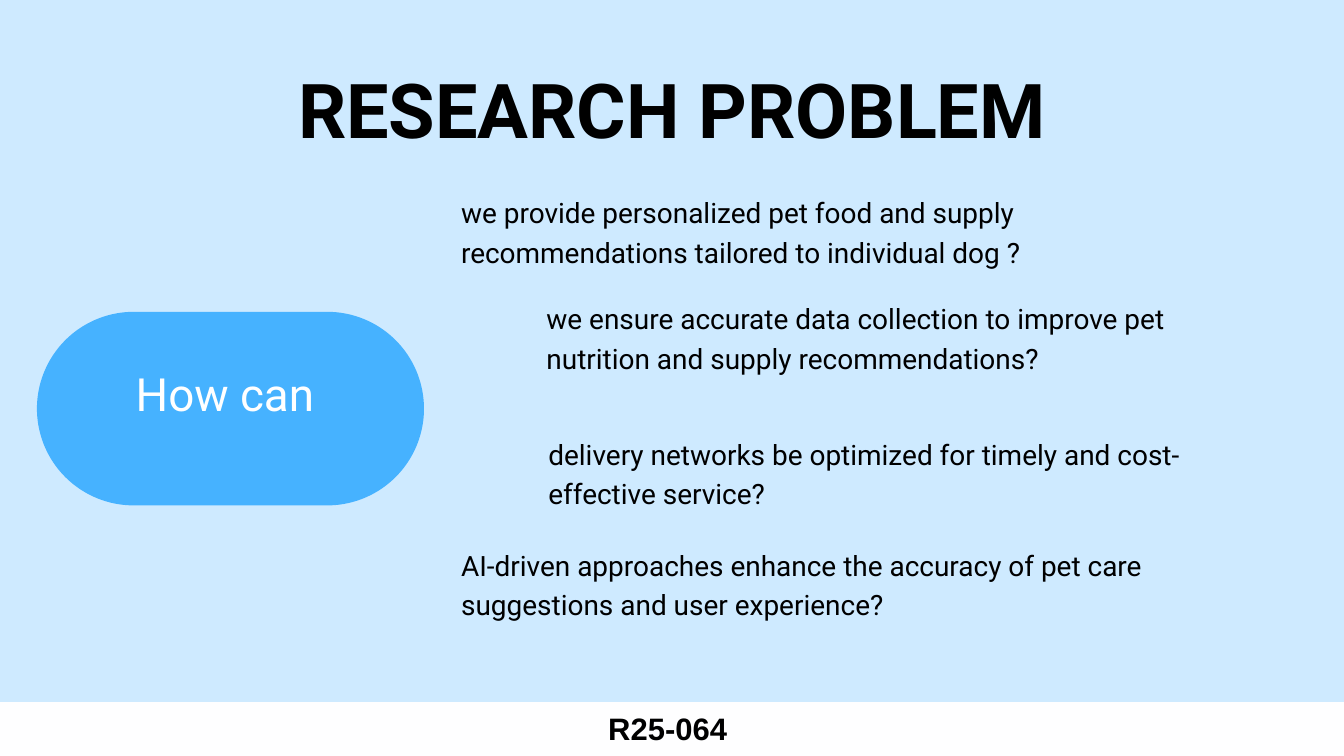
from dataclasses import dataclass

from pptx import Presentation
from pptx.dml.color import RGBColor
from pptx.enum.shapes import MSO_SHAPE
from pptx.enum.text import MSO_ANCHOR, PP_ALIGN
from pptx.util import Pt


@dataclass(frozen=True)
class Theme:
    background: str = "CEEAFF"
    footer: str = "FEFEFF"
    pill: str = "46B2FF"
    ink: str = "000000"
    light: str = "FFFFFF"
    title_size: float = 81
    prompt_size: float = 49
    question_size: float = 30
    footer_size: float = 33.2
    font: str = "Roboto"
    footer_font: str = "Arial"


theme = Theme()


def add_block(shapes, kind, box, color):
    s = shapes.add_shape(kind, *map(Pt, box))
    s.shadow.inherit = False
    s.fill.solid()
    s.fill.fore_color.rgb = RGBColor.from_string(color)
    s.line.fill.background()
    return s


def add_text(shapes, text, box, size, spacing, align=PP_ALIGN.CENTER,
             bold=False, color=theme.ink, font=theme.font, inset=0):
    tf = shapes.add_textbox(*map(Pt, box)).text_frame
    tf.word_wrap = True
    tf.margin_left = tf.margin_right = Pt(inset)
    tf.margin_top = tf.margin_bottom = Pt(inset)
    p = tf.paragraphs[0]
    p.text = text
    p.alignment = align
    p.line_spacing = Pt(spacing)
    p.font.name = font
    p.font.size = Pt(size)
    p.font.bold = bold
    p.font.color.rgb = RGBColor.from_string(color)
    return tf


prs = Presentation()
prs.slide_width, prs.slide_height = Pt(1440), Pt(810)
slide = prs.slides.add_slide(prs.slide_layouts[6])
slide.background.fill.solid()
slide.background.fill.fore_color.rgb = RGBColor.from_string(theme.background)
shapes = slide.shapes

add_block(shapes, MSO_SHAPE.RECTANGLE, (0, 752.4, 1440, 57.6), theme.footer)
add_text(shapes, "R25-064 ", (651.6, 753.8, 136.8, 46.8), theme.footer_size, 46.5,
         bold=True, font=theme.footer_font)
add_text(shapes, "RESEARCH PROBLEM", (294.5, 51.1, 851, 109.4), theme.title_size, 113.4,
         bold=True)

questions = [
    (494, 203.8, "we provide personalized pet food and supply recommendations tailored to individual dog ?"),
    (585.4, 317.5, "we ensure accurate data collection to improve pet nutrition and supply recommendations?"),
    (587.5, 463, "delivery networks be optimized for timely and cost-effective service?"),
    (494, 581.8, "AI-driven approaches enhance the accuracy of pet care suggestions and user experience?"),
]
for left, top, question in questions:
    add_text(shapes, question, (left, top, 771, 82.8), theme.question_size, 42,
             align=PP_ALIGN.LEFT)

pill = add_block(shapes, MSO_SHAPE.ROUNDED_RECTANGLE, (39.6, 334.1, 414.7, 207.4), theme.pill)
pill.adjustments[0] = 0.5
tf = add_text(shapes, "How can ", (39.6, 290.9, 414.7, 251.3), theme.prompt_size, 68.6,
              color=theme.light, inset=4)
tf.vertical_anchor = MSO_ANCHOR.MIDDLE

prs.save("out.pptx")
